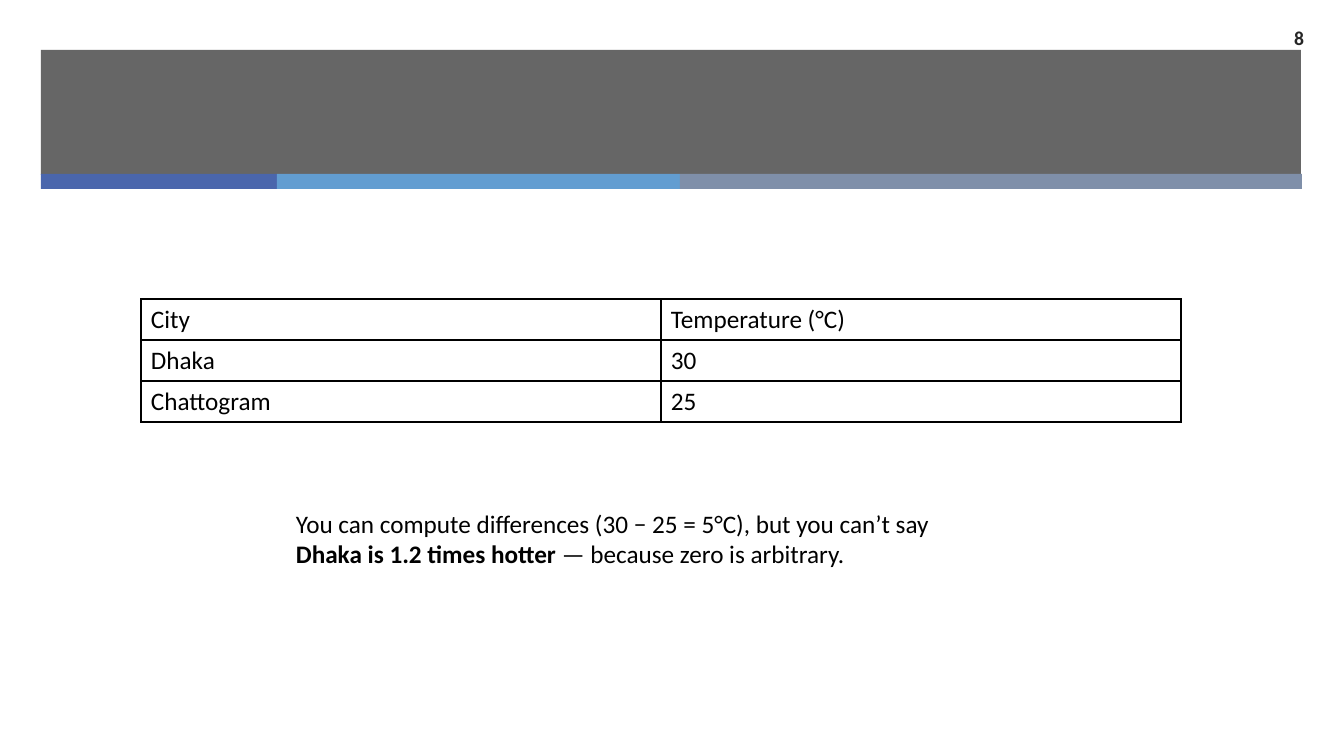
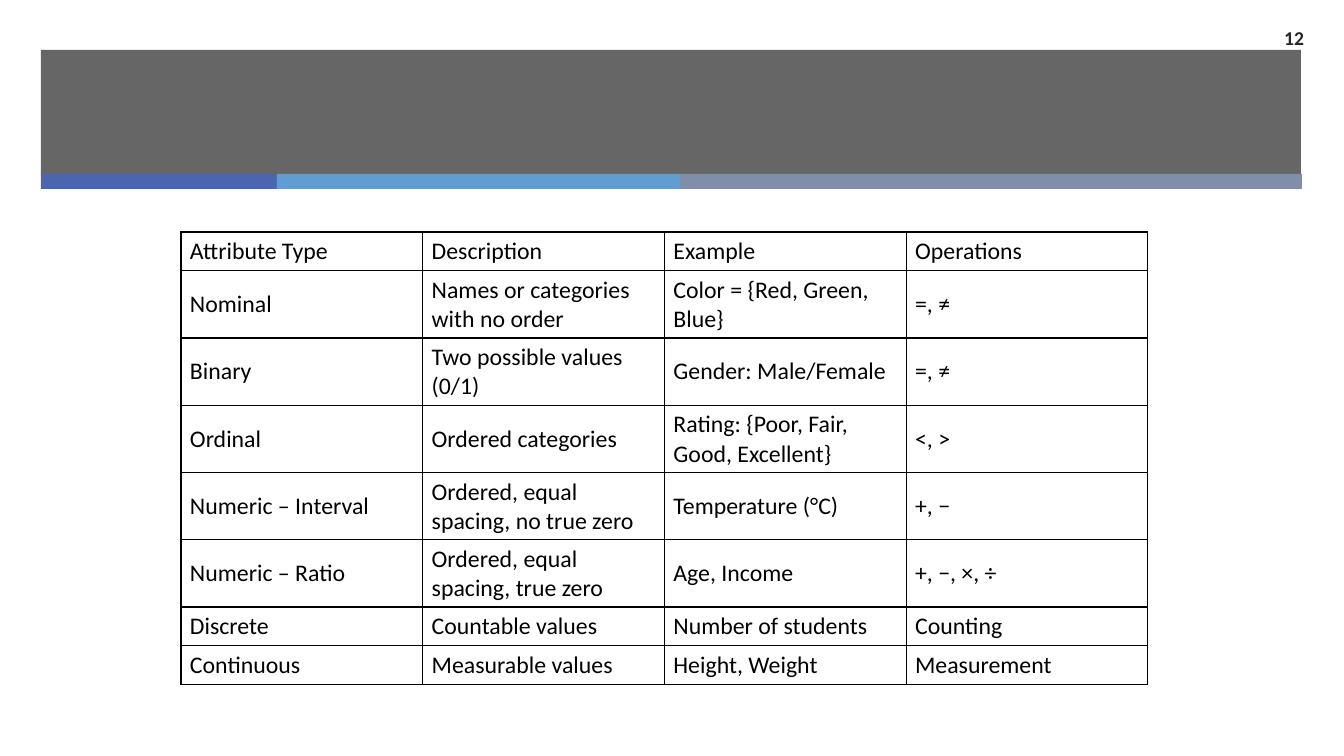
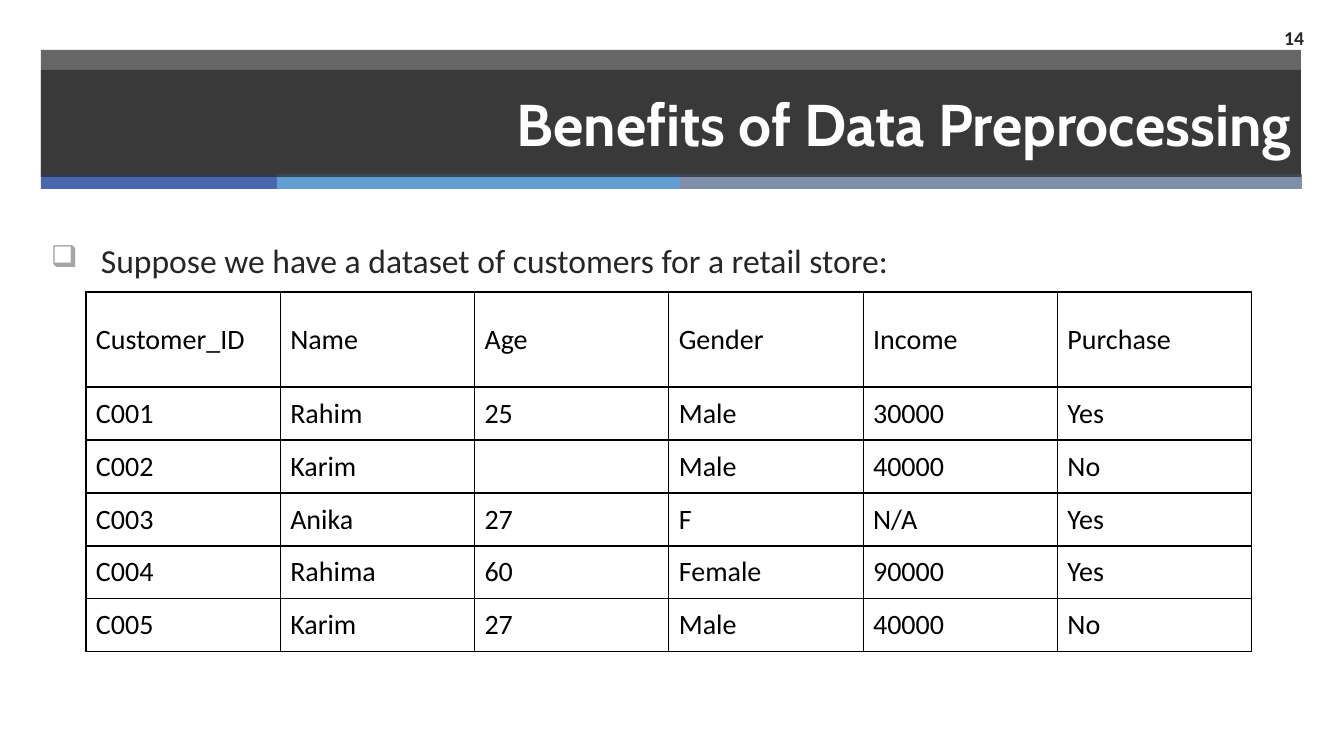
from lxml import etree
from pptx import Presentation
from pptx.dml.color import RGBColor
from pptx.enum.shapes import MSO_SHAPE
from pptx.enum.text import MSO_ANCHOR, PP_ALIGN
from pptx.oxml.ns import qn
from pptx.util import Emu, Pt

RECTANGLE = MSO_SHAPE.RECTANGLE
MIDDLE, TOP = MSO_ANCHOR.MIDDLE, MSO_ANCHOR.TOP
LEFT, RIGHT = PP_ALIGN.LEFT, PP_ALIGN.RIGHT

EMU_PER_PX = 914400 / 100.8
SLIDE_SIZE = (1344, 756)
BODY_FONT, TITLE_FONT = "Calibri", "Cabin"
BLACK, WHITE, DARK, BULLET_GREY = "000000", "FFFFFF", "262626", "A6A6A6"

BAND_LEFT, BAND_WIDTH = 41, 1260
BAND_BOX = (BAND_LEFT, 50, BAND_WIDTH, 125)
TITLE_BOX = (BAND_LEFT, 70, BAND_WIDTH, 107)
BODY_BOX = (BAND_LEFT, 235, BAND_WIDTH, 440)
NUMBER_BOX = (1221, 18, 93, 39)
BAND_OPACITY = 70
STRIPE_TOP, STRIPE_HEIGHT = 174, 15
STRIPES = [(236, "4A66AC"), (403, "629DD1"), (622, "7F8FA9")]

SLIDES = [
    {
        "number": "8",
        "table": {
            "left": 141, "top": 299, "width": 1040, "size": 18, "inset": 10,
            "row_heights": [41, 41, 41],
            "rows": [
                ("City", "Temperature (°C)"),
                ("Dhaka", "30"),
                ("Chattogram", "25"),
            ],
        },
        "note": {
            "box": (286, 503, 672, 72),
            "runs": [
                ("You can compute differences (30 − 25 = 5°C), but you can’t say ", False),
                ("Dhaka is 1.2 times hotter", True),
                (" — because zero is arbitrary.", False),
            ],
        },
    },
    {
        "number": "12",
        "table": {
            "left": 181, "top": 232, "width": 967, "size": 17, "inset": 9,
            "row_heights": [38] + [66] * 5 + [38] * 2,
            "rows": [
                ("Attribute Type", "Description", "Example", "Operations"),
                ("Nominal", "Names or categories with no order", "Color = {Red, Green, Blue}", "=, ≠"),
                ("Binary", "Two possible values (0/1)", "Gender: Male/Female", "=, ≠"),
                ("Ordinal", "Ordered categories", "Rating: {Poor, Fair, Good, Excellent}", "<, >"),
                ("Numeric – Interval", "Ordered, equal spacing, no true zero", "Temperature (°C)", "+, −"),
                ("Numeric – Ratio", "Ordered, equal spacing, true zero", "Age, Income", "+, −, ×, ÷"),
                ("Discrete", "Countable values", "Number of students", "Counting"),
                ("Continuous", "Measurable values", "Height, Weight", "Measurement"),
            ],
        },
    },
    {
        "number": "14",
        "title": "Benefits of Data Preprocessing",
        "bullet": "Suppose we have a dataset of customers for a retail store:",
        "table": {
            "left": 86, "top": 292, "width": 1166, "size": 20, "inset": 10,
            "row_heights": [95] + [53] * 5,
            "rows": [
                ("Customer_ID", "Name", "Age", "Gender", "Income", "Purchase"),
                ("C001", "Rahim", "25", "Male", "30000", "Yes"),
                ("C002", "Karim", "", "Male", "40000", "No"),
                ("C003", "Anika", "27", "F", "N/A", "Yes"),
                ("C004", "Rahima", "60", "Female", "90000", "Yes"),
                ("C005", "Karim", "27", "Male", "40000", "No"),
            ],
        },
    },
]


def px(length):
    return Emu(round(length * EMU_PER_PX))


def scaled(box):
    return [px(length) for length in box]


def rgb(color):
    return RGBColor.from_string(color)


def style_run(run, size, color, bold=False, font=BODY_FONT):
    run.font.name = font
    run.font.size = Pt(size)
    run.font.bold = bold
    run.font.color.rgb = rgb(color)


def add_band(slide, box, color, opacity=100):
    shape = slide.shapes.add_shape(RECTANGLE, *scaled(box))
    shape.shadow.inherit = False
    shape.line.fill.background()
    shape.fill.solid()
    shape.fill.fore_color.rgb = rgb(color)
    if opacity < 100:
        color_element = shape.fill._xPr.find(".//" + qn("a:srgbClr"))
        etree.SubElement(color_element, qn("a:alpha"), val=str(opacity * 1000))
    return shape


def fill_text(shape, runs, size, color, align=LEFT, anchor=TOP, font=BODY_FONT):
    """Write (text, bold) runs as one paragraph and return it."""
    frame = shape.text_frame
    frame.word_wrap = True
    frame.vertical_anchor = anchor
    paragraph = frame.paragraphs[0]
    paragraph.alignment = align
    for text, bold in runs:
        run = paragraph.add_run()
        run.text = text
        style_run(run, size, color, bold, font)
    return paragraph


def add_text(slide, box, *args, **options):
    return fill_text(slide.shapes.add_textbox(*scaled(box)), *args, **options)


def add_bullet(paragraph, indent):
    properties = paragraph._p.get_or_add_pPr()
    properties.set("marL", str(px(indent)))
    properties.set("indent", str(-px(indent)))
    color = etree.SubElement(properties, qn("a:buClr"))
    etree.SubElement(color, qn("a:srgbClr"), val=BULLET_GREY)
    etree.SubElement(properties, qn("a:buSzPct"), val="90000")
    etree.SubElement(properties, qn("a:buChar"), char="❑")


def add_borders(cell):
    properties = cell._tc.get_or_add_tcPr()
    for position, side in enumerate(("a:lnL", "a:lnR", "a:lnT", "a:lnB")):
        line = etree.Element(qn(side), w=str(Pt(1)))
        fill = etree.SubElement(line, qn("a:solidFill"))
        etree.SubElement(fill, qn("a:srgbClr"), val=BLACK)
        properties.insert(position, line)


def add_grid(slide, left, top, width, size, inset, row_heights, rows):
    column_count = len(rows[0])
    box = (left, top, width, sum(row_heights))
    table = slide.shapes.add_table(len(rows), column_count, *scaled(box)).table
    table.first_row = table.horz_banding = False
    for column in table.columns:
        column.width = px(width / column_count)
    for table_row, height, texts in zip(table.rows, row_heights, rows):
        table_row.height = px(height)
        for cell, text in zip(table_row.cells, texts):
            cell.text = text
            cell.vertical_anchor = MIDDLE
            cell.margin_left = cell.margin_right = px(inset)
            cell.fill.background()
            add_borders(cell)
            for run in cell.text_frame.paragraphs[0].runs:
                style_run(run, size, BLACK)


def add_frame(slide, number):
    """Draw the header band, its stripes and the slide number."""
    add_band(slide, BAND_BOX, DARK, BAND_OPACITY)
    left = BAND_LEFT
    for width, color in STRIPES:
        add_band(slide, (left, STRIPE_TOP, width, STRIPE_HEIGHT), color)
        left += width
    add_text(slide, NUMBER_BOX, [(number, True)], 14, DARK, align=RIGHT, anchor=MIDDLE)


def main():
    presentation = Presentation()
    presentation.slide_width, presentation.slide_height = scaled(SLIDE_SIZE)
    blank = presentation.slide_layouts[6]
    for content in SLIDES:
        slide = presentation.slides.add_slide(blank)
        add_frame(slide, content["number"])
        if "title" in content:
            title = add_band(slide, TITLE_BOX, DARK, BAND_OPACITY)
            fill_text(title, [(content["title"], True)], 42, WHITE, RIGHT, MIDDLE, TITLE_FONT)
        if "bullet" in content:
            paragraph = add_text(slide, BODY_BOX, [(content["bullet"], False)], 24, DARK)
            add_bullet(paragraph, 50)
        add_grid(slide, **content["table"])
        if "note" in content:
            add_text(slide, content["note"]["box"], content["note"]["runs"], 18, BLACK)
    presentation.save("out.pptx")


if __name__ == "__main__":
    main()
